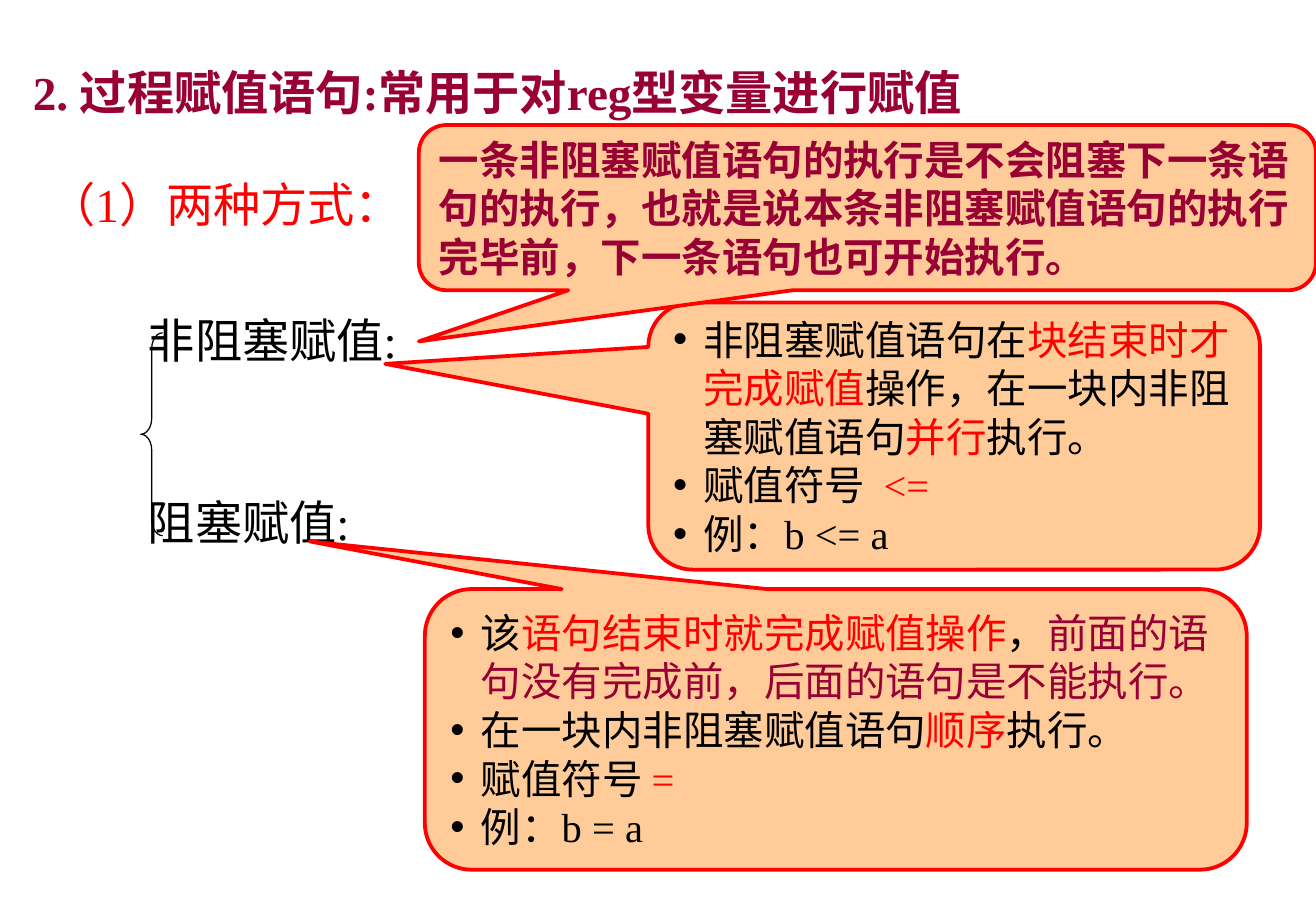
from lxml.etree import SubElement
from pptx import Presentation
from pptx.dml.color import RGBColor
from pptx.enum.shapes import MSO_SHAPE
from pptx.enum.text import MSO_ANCHOR, MSO_AUTO_SIZE, PP_ALIGN
from pptx.oxml.ns import qn
from pptx.util import Inches, Pt

COLORS = {"black": "000000", "red": "FF0000", "wine": "990033", "peach": "FFCC99"}
FONT = "Times New Roman"
BULLET_INDENT = Inches(0.25)


def color(name):
    """Return the named palette colour."""
    return RGBColor.from_string(COLORS[name])


def place(shape, left, top, width, height):
    """Move and size a shape, in inches."""
    shape.left, shape.top = Inches(left), Inches(top)
    shape.width, shape.height = Inches(width), Inches(height)


def add_bullet(paragraph):
    """Give a paragraph a round bullet with a hanging indent."""
    properties = paragraph._p.get_or_add_pPr()
    properties.set("marL", str(BULLET_INDENT))
    properties.set("indent", str(-BULLET_INDENT))
    SubElement(properties, qn("a:buFont"), typeface="Arial")
    SubElement(properties, qn("a:buChar"), char="•")


def write(shape, paragraphs, size, bold=False, bullets=False, wrap=True, anchor=MSO_ANCHOR.TOP):
    """Fill a shape with paragraphs made of (text, colour) runs."""
    text_frame = shape.text_frame
    text_frame.word_wrap = wrap
    text_frame.auto_size = MSO_AUTO_SIZE.NONE
    text_frame.vertical_anchor = anchor
    for index, runs in enumerate(paragraphs):
        paragraph = text_frame.add_paragraph() if index else text_frame.paragraphs[0]
        paragraph.alignment = PP_ALIGN.LEFT
        if bullets:
            add_bullet(paragraph)
        for text, color_name in runs:
            run = paragraph.add_run()
            run.text = text
            run.font.name = FONT
            run.font.size = Pt(size)
            run.font.bold = bold
            run.font.color.rgb = color(color_name)


def add_title(slide, text):
    """Place and format the slide title."""
    title = slide.shapes.title
    place(title, 0.17, 0.47, 8.32, 0.57)
    write(title, [[(text, "wine")]], 28, bold=True, wrap=False)


def add_label(slide, box, text, color_name):
    """Add a one-line label."""
    label = slide.shapes.add_textbox(*map(Inches, box))
    write(label, [[(text, color_name)]], 28, wrap=False)


def add_brace(slide, box):
    """Add the thin brace that groups the two kinds of assignment."""
    brace = slide.shapes.add_shape(MSO_SHAPE.LEFT_BRACE, *map(Inches, box))
    brace.shadow.inherit = False
    brace.adjustments[0] = 0.72
    brace.fill.background()
    brace.line.color.rgb = color("black")
    brace.line.width = Pt(0.75)


def add_callout(slide, box, tail, paragraphs, **text_options):
    """Add a rounded callout whose tail ends at the given relative point."""
    callout = slide.shapes.add_shape(MSO_SHAPE.ROUNDED_RECTANGULAR_CALLOUT, *map(Inches, box))
    callout.shadow.inherit = False
    callout.adjustments[0], callout.adjustments[1] = tail
    callout.fill.solid()
    callout.fill.fore_color.rgb = color("peach")
    callout.line.color.rgb = color("red")
    callout.line.width = Pt(2.25)
    write(callout, paragraphs, 24, anchor=MSO_ANCHOR.MIDDLE, **text_options)


def main():
    """Build the slide on procedural assignment statements."""
    presentation = Presentation()
    presentation.slide_width, presentation.slide_height = Inches(10.84), Inches(7.5)
    slide = presentation.slides.add_slide(presentation.slide_layouts[5])

    add_title(slide, "2. 过程赋值语句:常用于对reg型变量进行赋值")
    add_label(slide, (0.3, 1.39, 4.17, 0.57), "（1）两种方式：", "red")
    add_brace(slide, (1.16, 2.74, 0.18, 1.67))
    add_label(slide, (1.12, 2.51, 2.34, 0.57), "非阻塞赋值:", "black")
    add_label(slide, (1.12, 4.01, 1.95, 0.57), "阻塞赋值:", "black")

    nonblocking_rules = [
        [
            ("非阻塞赋值语句在", "black"),
            ("块结束时才完成赋值", "red"),
            ("操作，在一块内非阻塞赋值语句", "black"),
            ("并行", "red"),
            ("执行。", "black"),
        ],
        [("赋值符号  ", "black"), ("<=", "red")],
        [("例：b <= a", "black")],
    ]
    blocking_rules = [
        [
            ("该", "black"),
            ("语句结束时就完成赋值操作", "red"),
            ("，", "black"),
            ("前面的语句没有完成前，后面的语句是不能执行。", "wine"),
        ],
        [("在一块内非阻塞赋值语句", "black"), ("顺序", "red"), ("执行。", "black")],
        [("赋值符号 ", "black"), ("=", "red")],
        [("例：b = a", "black")],
    ]
    nonblocking_meaning = [[(
        "一条非阻塞赋值语句的执行是不会阻塞下一条语句的执行，"
        "也就是说本条非阻塞赋值语句的执行完毕前，下一条语句也可开始执行。",
        "wine",
    )]]
    add_callout(slide, (5.34, 2.49, 5.04, 2.2), (-0.93, -0.27), nonblocking_rules, bullets=True)
    add_callout(slide, (3.5, 4.85, 6.77, 2.31), (-0.64, -0.67), blocking_rules, bullets=True)
    add_callout(slide, (3.45, 1.03, 7.39, 1.36), (-0.5, 0.81), nonblocking_meaning, bold=True)

    presentation.save("out.pptx")


if __name__ == "__main__":
    main()
